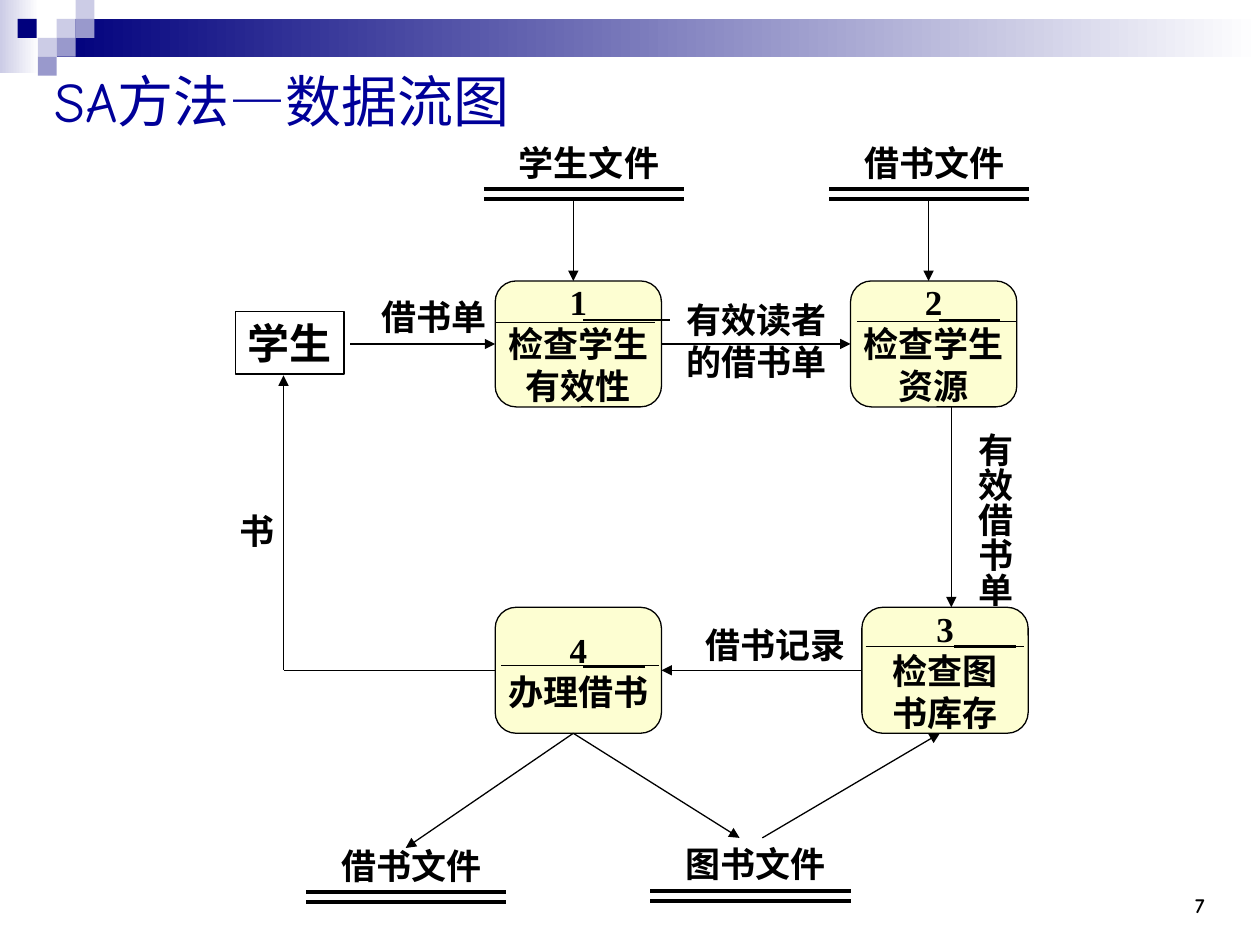
from lxml.etree import SubElement
from pptx import Presentation
from pptx.dml.color import RGBColor
from pptx.enum.shapes import MSO_CONNECTOR as Link, MSO_SHAPE as Shape
from pptx.enum.text import MSO_ANCHOR as Anchor, MSO_AUTO_SIZE as AutoSize, PP_ALIGN as Align
from pptx.oxml.ns import qn
from pptx.util import Pt

SCALE = 9144
COLORS = {
    "ink": "000000", "title": "000099", "process": "FDFED2", "white": "FFFFFF",
    "navy": "00007D", "lavender": "CCCCE6", "violet": "9999CC",
}
SERIF, CASUAL = "Times New Roman", "Comic Neue"


def px(*lengths):
    """Turn px lengths into EMU."""
    return [length * SCALE for length in lengths]


def color(name):
    """Look up a named colour."""
    return RGBColor.from_string(COLORS[name])


def set_margins(frame, across, down):
    """Set the left and right, then the top and bottom margins of a text frame."""
    frame.margin_left, frame.margin_right = px(across, across)
    frame.margin_top, frame.margin_bottom = px(down, down)


def write(shape, text, size=20, align=Align.RIGHT, anchor=Anchor.TOP,
          font=SERIF, bold=True, ink="ink", wrap=False):
    """Set and format the text of a shape, one paragraph per line."""
    frame = shape.text_frame
    frame.text = text
    frame.word_wrap = wrap
    frame.auto_size = AutoSize.NONE
    frame.vertical_anchor = anchor
    set_margins(frame, 10, 5)
    for para in frame.paragraphs:
        para.alignment = align
        para.font.name, para.font.size, para.font.bold = font, Pt(size), bold
        para.font.color.rgb = color(ink)


def add_label(page, box, text, **style):
    """Place a text box."""
    label = page.shapes.add_textbox(*px(*box))
    write(label, text, **style)
    return label


def add_vertical_label(page, box, text):
    """Place a text box whose characters run downwards."""
    label = add_label(page, box, text)
    set_margins(label.text_frame, 5, 10)
    next(label.element.iter(qn("a:bodyPr"))).set("vert", "eaVert")


def add_line(page, start, end, width=0.75, arrow=False):
    """Draw a straight line, with an arrowhead at its end if asked."""
    line = page.shapes.add_connector(Link.STRAIGHT, *px(*start, *end))
    line.line.color.rgb = color("ink")
    line.line.width = Pt(width)
    properties = line.element.spPr
    if arrow:
        SubElement(properties.find(qn("a:ln")), qn("a:tailEnd"), type="triangle")
    SubElement(properties, qn("a:effectLst"))


def add_block(page, box, kind=Shape.RECTANGLE, fill=None, fade=None, outlined=False):
    """Draw a preset shape with a plain, fading or empty fill."""
    block = page.shapes.add_shape(kind, *px(*box))
    block.shadow.inherit = False
    if fade:
        block.fill.gradient()
        block.fill.gradient_angle = 0
        for stop, name in zip(block.fill.gradient_stops, (fill, fade)):
            stop.color.rgb = color(name)
    elif fill:
        block.fill.solid()
        block.fill.fore_color.rgb = color(fill)
    else:
        block.fill.background()
    if outlined:
        block.line.color.rgb = color("ink")
        block.line.width = Pt(0.75)
    else:
        block.line.fill.background()
    return block


def add_banner(page, left, top):
    """Draw the fading bar and the mosaic of squares."""
    add_block(page, (left, top, 31, 58), fill="lavender", fade="white")
    add_block(page, (left + 45, top + 15, 955, 30), fill="navy", fade="white")
    for x, y, fill in (
        (45, 15, "lavender"), (60, 0, "lavender"), (60, 15, "violet"), (30, 30, "lavender"),
        (14, 15, "navy"), (45, 30, "violet"), (30, 45, "violet"),
    ):
        add_block(page, (left + x, top + y, 15, 15), fill=fill)


def add_title(page, box, text):
    """Fill and move the title placeholder."""
    title = page.shapes.title
    title.left, title.top, title.width, title.height = px(*box)
    write(title, text, size=32, align=Align.LEFT, anchor=Anchor.MIDDLE,
          font=CASUAL, bold=False, ink="title", wrap=True)


def add_store(page, left, top, name):
    """Draw a data store: a name above a double rule."""
    add_label(page, (left + 18, top, 131, 44), name)
    for y in (top + 43, top + 51):
        add_line(page, (left, y), (left + 159, y), width=2.25)


def add_process(page, left, top, text, rule, stub):
    """Draw a numbered process with a rule and a short heavier stub under its number."""
    block = add_block(page, (left, top, 132, 100), Shape.ROUNDED_RECTANGLE, "process", outlined=True)
    write(block, text, align=Align.CENTER, anchor=Anchor.MIDDLE)
    for (x, y, length), width in ((rule, 0.75), (stub, 1.5)):
        add_line(page, (left + x, top + y), (left + x + length, top + y), width)


def add_diagram(page):
    """Draw the data flow diagram of lending a book."""
    student = add_block(page, (187, 247, 86, 50), outlined=True)
    write(student, "学生", size=24)

    for left, top, name in (
        (384, 107, "学生文件"), (658, 107, "借书文件"),
        (243, 665, "借书文件"), (516, 664, "图书文件"),
    ):
        add_store(page, left, top, name)

    for left, top, text, rule, stub in (
        (393, 223, "1\n检查学生\n有效性", (1, 33, 126), (70, 31, 69)),
        (675, 223, "2\n检查学生\n资源", (5, 32, 126), (70, 31, 49)),
        (684, 482, "3\n检查图\n书库存", (3, 31, 126), (73, 31, 49)),
        (393, 482, "4\n办理借书", (5, 46, 125), (70, 47, 49)),
    ):
        add_process(page, left, top, text, rule, stub)

    for start, end in (
        ((278, 273), (393, 273)), ((525, 273), (675, 273)),
        ((755, 323), (755, 482)), ((684, 532), (525, 532)),
        ((455, 582), (587, 665)), ((455, 582), (322, 673)),
        ((455, 157), (455, 223)), ((737, 157), (737, 223)),
        ((605, 665), (746, 582)), ((225, 532), (225, 298)),
    ):
        add_line(page, start, end, arrow=True)
    add_line(page, (393, 532), (225, 532))

    add_label(page, (293, 230, 103, 44), "借书单")
    add_label(page, (535, 232, 131, 77), "有效读者\n的借书单")
    add_label(page, (550, 490, 131, 44), "借书记录")
    add_vertical_label(page, (758, 333, 53, 149), "有效借书单")
    add_vertical_label(page, (172, 398, 53, 38), "书")


def main():
    """Build and save the deck."""
    deck = Presentation()
    deck.slide_width, deck.slide_height = px(1000, 750)
    page = deck.slides.add_slide(deck.slide_layouts[5])
    add_banner(page, 0, 0)
    add_title(page, (33, 42, 900, 75), "SA方法—数据流图")
    add_diagram(page)
    add_label(page, (883, 683, 83, 50), "7", size=12, anchor=Anchor.BOTTOM, font=CASUAL, wrap=True)
    deck.save("out.pptx")


if __name__ == "__main__":
    main()
